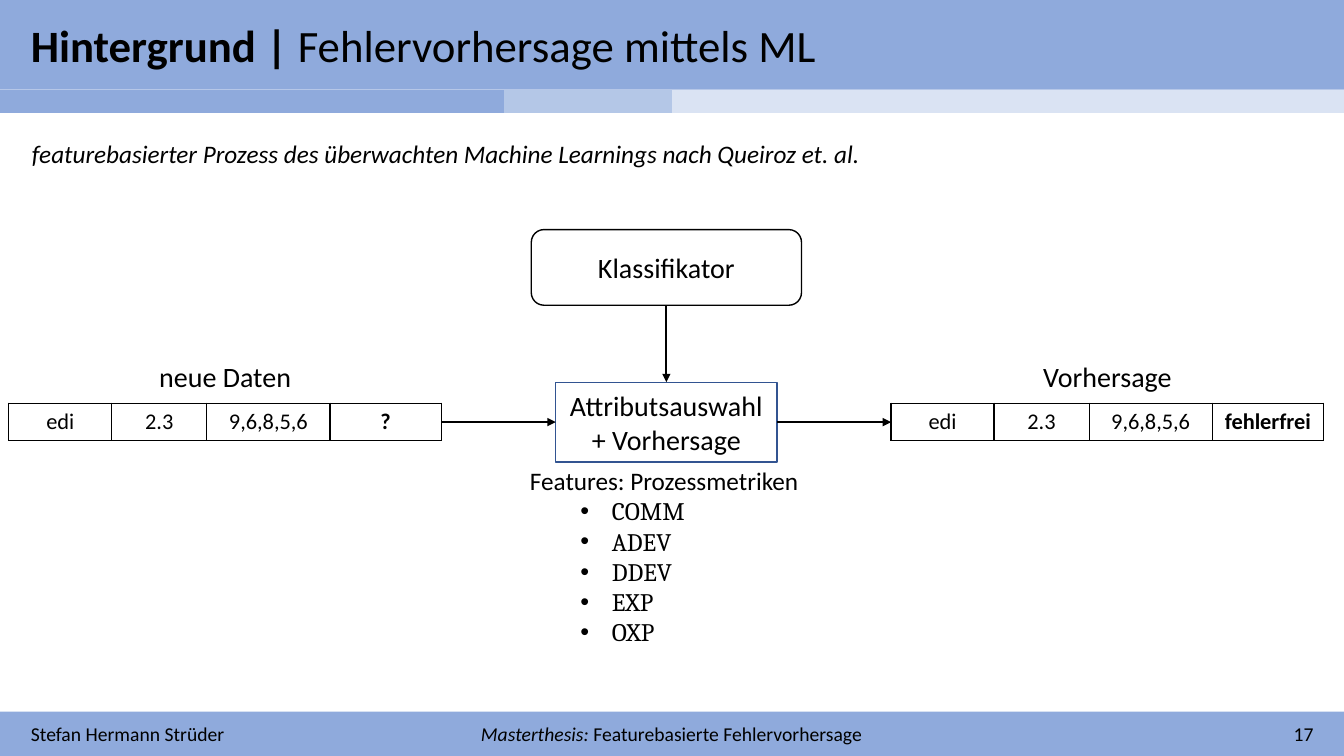
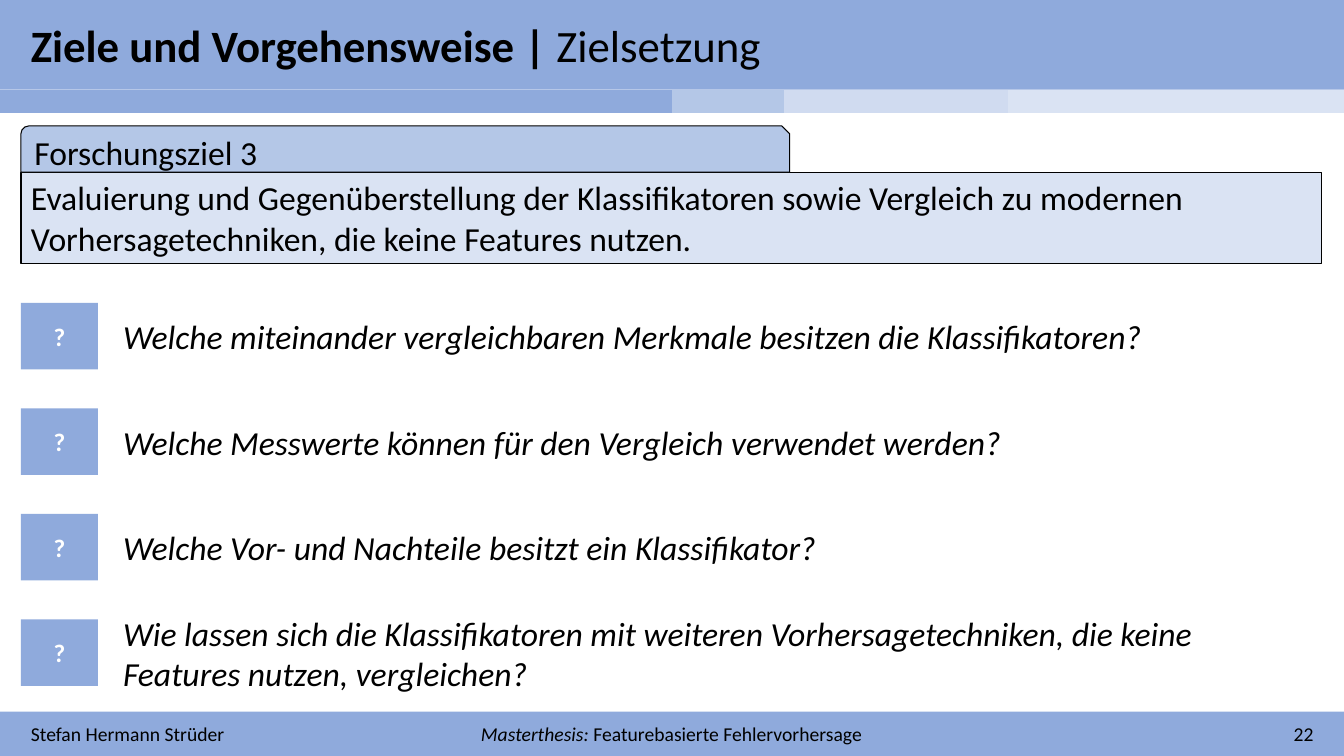
from dataclasses import dataclass

from lxml import etree
from pptx import Presentation
from pptx.dml.color import RGBColor
from pptx.enum import shapes, text
from pptx.oxml.ns import qn
from pptx.util import Pt

LEFT, MID, RIGHT = text.PP_ALIGN.LEFT, text.PP_ALIGN.CENTER, text.PP_ALIGN.RIGHT
TOP, CORE = text.MSO_ANCHOR.TOP, text.MSO_ANCHOR.MIDDLE
KIND = shapes.MSO_SHAPE


@dataclass(frozen=True)
class Theme:
    dark: str = "8FAADC"
    mid: str = "B4C7E7"
    tint: str = "D0DBF0"
    pale: str = "DAE3F3"
    edge: str = "325491"
    ink: str = "000000"
    white: str = "FFFFFF"
    sans: str = "Calibri"
    serif: str = "Cambria"
    head: int = 32
    lead: int = 24
    label: int = 20
    body: int = 18
    cell: int = 16
    foot: int = 14


T = Theme()
WIDE, HIGH = 960, 540
BAND = 64
STRIP = (240, 120, 120, 80, 80, 80, 240)


def rgb(code):
    return RGBColor.from_string(code)


class Deck:
    def __init__(self):
        self.prs = Presentation()
        self.prs.slide_width, self.prs.slide_height = Pt(WIDE), Pt(HIGH)
        self.slide = None

    def start(self, topic, part, number, strip):
        """Add a slide with title band, colour strip and footer."""
        self.slide = self.prs.slides.add_slide(self.prs.slide_layouts[5])
        title = self.slide.shapes.title
        title.left, title.top = Pt(0), Pt(0)
        title.width, title.height = Pt(WIDE), Pt(BAND)
        self.paint(title, T.dark)
        frame = title.text_frame
        frame.auto_size = text.MSO_AUTO_SIZE.NONE
        frame.margin_left = Pt(22)
        self.label(frame, [(f"{topic} | ", "b"), (part, "")], T.head, anchor=CORE)

        for cell, code in zip(self.grid(0, BAND, STRIP, 16.4), strip):
            cell.margin_top = cell.margin_bottom = Pt(0)
            end = etree.SubElement(cell.text_frame.paragraphs[0]._p, qn("a:endParaRPr"))
            end.set("sz", "800")
            cell.fill.solid()
            cell.fill.fore_color.rgb = rgb(code)

        self.box(0, 508.3, WIDE, 31.7, fill=T.dark)
        thesis = [("Masterthesis: ", "i"), ("Featurebasierte Fehlervorhersage", "")]
        for x, wide, runs, align in (
            (15, 258.5, [("Stefan Hermann Strüder", "")], LEFT),
            (332.5, 294.5, thesis, MID),
            (686.8, 258.5, [(str(number), "")], RIGHT),
        ):
            self.note(x, 512, wide, 24.5, runs, T.foot, align, CORE)

    def paint(self, shape, fill=None, line=None, width=1):
        if fill:
            shape.fill.solid()
            shape.fill.fore_color.rgb = rgb(fill)
        else:
            shape.fill.background()
        if line:
            shape.line.color.rgb = rgb(line)
            shape.line.width = Pt(width)
        else:
            shape.line.fill.background()

    def add(self, para, runs, size, align=LEFT, color=T.ink, font=T.sans):
        """Fill a paragraph with (words, style) runs; style holds b and i."""
        para.alignment = align
        for words, style in runs:
            run = para.add_run()
            run.text = words
            run.font.name, run.font.size = font, Pt(size)
            run.font.bold, run.font.italic = "b" in style, "i" in style
            run.font.color.rgb = rgb(color)

    def label(self, frame, runs, size, align=LEFT, anchor=TOP, color=T.ink):
        frame.word_wrap = True
        frame.vertical_anchor = anchor
        self.add(frame.paragraphs[0], runs, size, align, color)

    def box(self, x, y, wide, high, kind=KIND.RECTANGLE, fill=None, line=None, width=1):
        shape = self.slide.shapes.add_shape(kind, Pt(x), Pt(y), Pt(wide), Pt(high))
        shape.shadow.inherit = False
        self.paint(shape, fill, line, width)
        return shape

    def note(self, x, y, wide, high, runs, size, align=LEFT, anchor=TOP):
        frame = self.slide.shapes.add_textbox(Pt(x), Pt(y), Pt(wide), Pt(high)).text_frame
        self.label(frame, runs, size, align, anchor)
        return frame

    def bullet(self, frame, words):
        para = frame.add_paragraph()
        self.add(para, [(words, "")], T.body, font=T.serif)
        props = para._p.get_or_add_pPr()
        props.set("marL", str(Pt(58.5)))
        props.set("indent", str(Pt(-22.5)))
        etree.SubElement(props, qn("a:buFont")).set("typeface", "Arial")
        etree.SubElement(props, qn("a:buChar")).set("char", "•")

    def grid(self, x, y, cols, high):
        """Add a plain one-row table and return its cells."""
        frame = self.slide.shapes.add_table(
            1, len(cols), Pt(x), Pt(y), Pt(sum(cols)), Pt(high))
        table = frame.table
        table.first_row = table.horz_banding = False
        for mark in frame.element.iter(qn("a:tableStyleId")):
            mark.text = "{2D5ABB26-0587-4C30-8999-92F81FD0307C}"
        table.rows[0].height = Pt(high)
        for col, wide in zip(table.columns, cols):
            col.width = Pt(wide)
        return list(table.rows[0].cells)

    def border(self, cell):
        props = cell._tc.get_or_add_tcPr()
        for side in "LRTB":
            line = etree.SubElement(props, qn(f"a:ln{side}"), w=str(Pt(1)))
            fill = etree.SubElement(line, qn("a:solidFill"))
            etree.SubElement(fill, qn("a:srgbClr")).set("val", T.ink)

    def record(self, x, y, name, state):
        """Add a labelled data row that ends in a bold state."""
        cols = (73.5, 68, 88, 79.5)
        self.note(x, y - 35, sum(cols), 31.5, [(name, "")], T.label, MID)
        values = [("edi", ""), ("2.3", ""), ("9,6,8,5,6", ""), (state, "b")]
        for cell, value in zip(self.grid(x, y, cols, 26.6), values):
            self.border(cell)
            cell.fill.background()
            cell.vertical_anchor = CORE
            self.add(cell.text_frame.paragraphs[0], [value], T.cell, MID)

    def arrow(self, x1, y1, x2, y2, begin=None, end=None):
        """Draw an arrow; begin and end are (shape, site) joints."""
        link = self.slide.shapes.add_connector(
            shapes.MSO_CONNECTOR.STRAIGHT, Pt(x1), Pt(y1), Pt(x2), Pt(y2))
        if begin:
            link.begin_connect(*begin)
        if end:
            link.end_connect(*end)
        link.line.color.rgb = rgb(T.ink)
        link.line.width = Pt(1.5)
        props = link.element.spPr
        etree.SubElement(props.find(qn("a:ln")), qn("a:tailEnd")).set("type", "triangle")
        etree.SubElement(props, qn("a:effectLst"))


def process(deck):
    deck.start("Hintergrund", "Fehlervorhersage mittels ML", 17,
               [T.dark] * 2 + [T.mid] + [T.pale] * 4)
    lead = "featurebasierter Prozess des überwachten Machine Learnings nach Queiroz et. al."
    deck.note(15.8, 95, 640, 28, [(lead, "i")], T.body)

    axis, row = 476, 301.5
    deck.record(6.3, 288, "neue Daten", "?")
    deck.record(636.5, 288, "Vorhersage", "fehlerfrei")
    model = deck.box(axis - 96.5, 164, 193, 54, KIND.ROUNDED_RECTANGLE, T.white, T.ink)
    step = deck.box(axis - 79, row - 28.5, 158, 57, line=T.edge)
    for shape, words in ((model, "Klassifikator"), (step, "Attributsauswahl + Vorhersage")):
        deck.label(shape.text_frame, [(words, "")], T.label, MID, CORE)
    deck.arrow(315.3, row, axis - 79, row, end=(step, 1))
    deck.arrow(axis + 79, row, 636.5, row, begin=(step, 3))
    deck.arrow(axis, 218, axis, 273, (model, 2), (step, 0))

    frame = deck.note(371.5, 329, 208, 138, [("Features: Prozessmetriken", "")], T.body)
    for name in ("COMM", "ADEV", "DDEV", "EXP", "OXP"):
        deck.bullet(frame, name)


def goals(deck):
    deck.start("Ziele und Vorgehensweise", "Zielsetzung", 22,
               [T.dark] * 3 + [T.mid] + [T.tint] * 2 + [T.pale])
    left = 15
    goal = deck.box(left, 123, 929, 65, fill=T.pale, line=T.ink, width=0.75)
    deck.label(goal.text_frame, [(
        "Evaluierung und Gegenüberstellung der Klassifikatoren sowie Vergleich zu modernen "
        "Vorhersagetechniken, die keine Features nutzen.", "")], T.lead)
    tab = deck.box(left, 90, 549, 33, KIND.SNIP_ROUND_RECTANGLE, T.mid, T.ink, 0.75)
    tab.text_frame.margin_left = Pt(8)
    tab.text_frame.margin_top = Pt(6)
    deck.label(tab.text_frame, [("Forschungsziel 3", "")], T.lead, anchor=CORE)

    for i, words in enumerate((
        "Welche miteinander vergleichbaren Merkmale besitzen die Klassifikatoren?",
        "Welche Messwerte können für den Vergleich verwendet werden?",
        "Welche Vor- und Nachteile besitzt ein Klassifikator?",
        "Wie lassen sich die Klassifikatoren mit weiteren Vorhersagetechniken, "
        "die keine Features nutzen, vergleichen?",
    )):
        y = 216.3 + i * 75.4
        sign = deck.box(left, y, 55, 47.5, fill=T.dark)
        deck.label(sign.text_frame, [("?", "b")], T.body, MID, CORE, T.white)
        deck.note(80.8, y - 9, 862.5, 65.5, [(words, "i")], T.lead, anchor=CORE)


def main():
    deck = Deck()
    process(deck)
    goals(deck)
    deck.prs.save("out.pptx")


if __name__ == "__main__":
    main()
